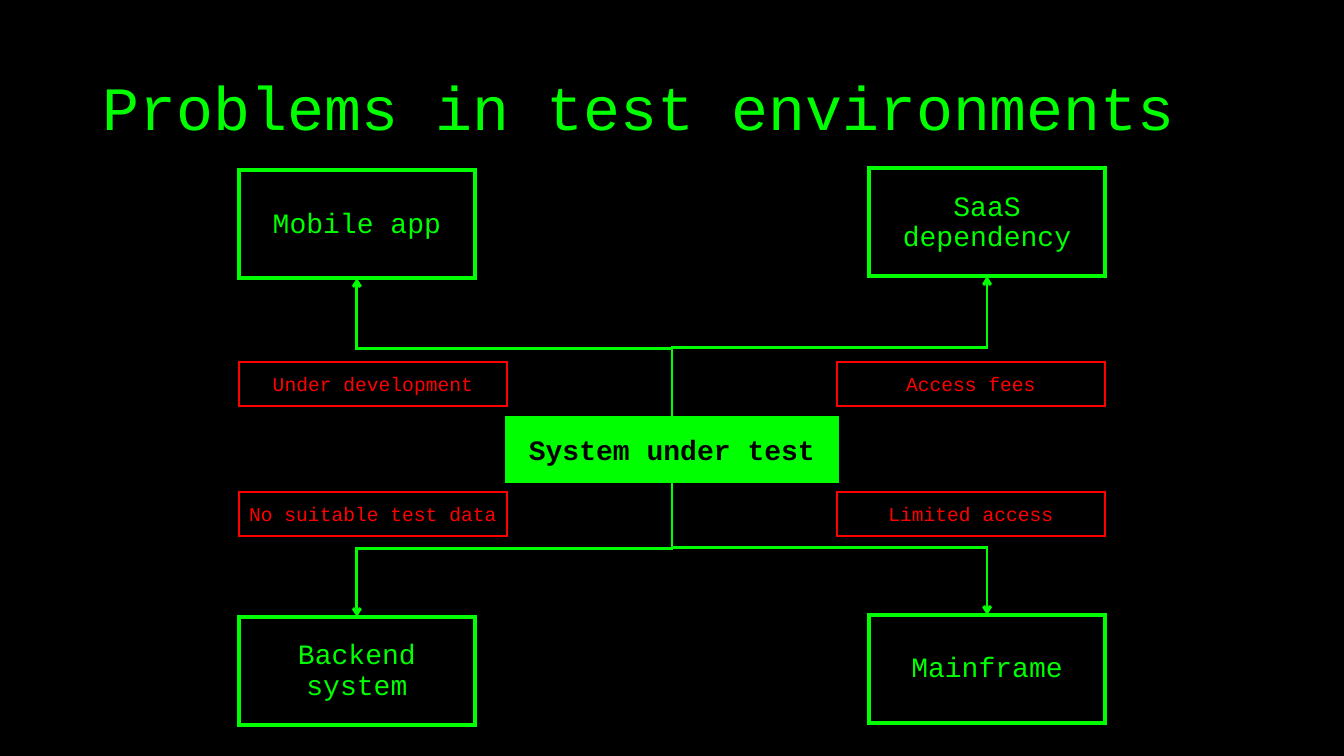
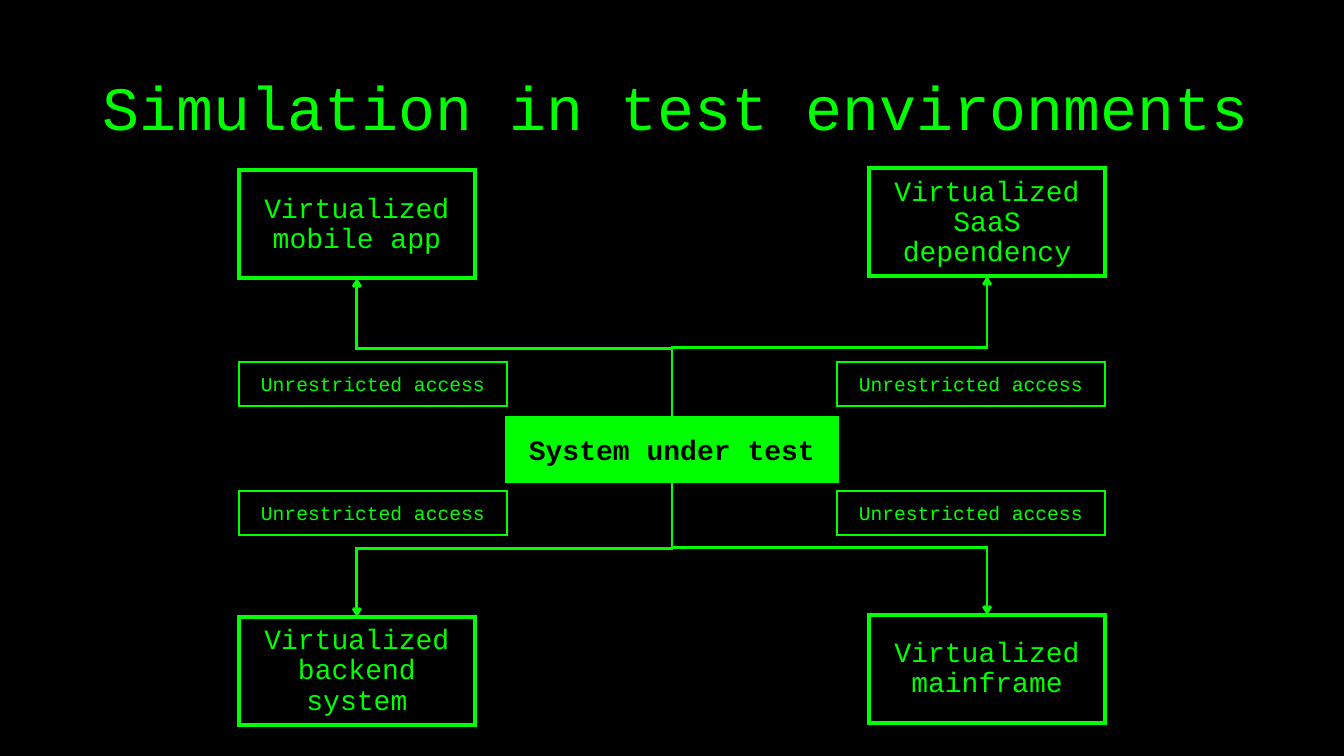
from dataclasses import dataclass

import lxml.etree
import pptx
import pptx.dml.color
import pptx.enum.shapes
import pptx.enum.text
import pptx.oxml.ns
import pptx.util

PX = 9144
FONT = "Courier New"
COLORS = {"background": "000000", "accent": "00FF00", "problem": "FF0000"}
TITLE_ONLY = 5
TOP, BOTTOM = 0, 2


@dataclass(frozen=True)
class Box:
    left: int
    top: int
    width: int
    height: int

    def emu(self) -> tuple[int, int, int, int]:
        return self.left * PX, self.top * PX, self.width * PX, self.height * PX


@dataclass(frozen=True)
class Environment:
    title: str
    title_width: int
    systems: tuple[str, str, str, str]
    conditions: tuple[str, str, str, str]
    condition_color: str
    lower_condition_top: int


HUB = Box(503, 415, 327, 62)
SYSTEM_CORNERS = ((237, 169), (862, 167), (237, 612), (862, 610))
CONDITION_LEFTS = (237, 830)
UPPER_CONDITION_TOP = 359

ENVIRONMENTS = (
    Environment(
        "Problems in test environments",
        1150,
        ("Mobile app", "SaaS dependency", "Backend system", "Mainframe"),
        ("Under development", "Access fees", "No suitable test data", "Limited access"),
        "problem",
        488,
    ),
    Environment(
        "Simulation in test environments",
        1214,
        (
            "Virtualized mobile app",
            "Virtualized SaaS dependency",
            "Virtualized backend system",
            "Virtualized mainframe",
        ),
        ("Unrestricted access",) * 4,
        "accent",
        487,
    ),
)


def rgb(name: str) -> pptx.dml.color.RGBColor:
    return pptx.dml.color.RGBColor.from_string(COLORS[name])


def write_text(
    frame,
    text: str,
    *,
    size: int,
    color: str = "accent",
    bold: bool = False,
    align=pptx.enum.text.PP_ALIGN.CENTER,
    line_spacing: float = 1.0,
) -> None:
    frame.word_wrap = True
    frame.auto_size = pptx.enum.text.MSO_AUTO_SIZE.NONE
    frame.vertical_anchor = pptx.enum.text.MSO_ANCHOR.MIDDLE
    frame.margin_top = frame.margin_bottom = 0
    paragraph = frame.paragraphs[0]
    paragraph.alignment = align
    paragraph.line_spacing = line_spacing
    run = paragraph.add_run()
    run.text = text
    run.font.name = FONT
    run.font.size = pptx.util.Pt(size)
    run.font.bold = bold
    run.font.color.rgb = rgb(color)


def style_line(outlined, color: str, width: int):
    outlined.line.color.rgb = rgb(color)
    outlined.line.width = pptx.util.Pt(width)
    line = outlined._element.spPr.find(pptx.oxml.ns.qn("a:ln"))
    lxml.etree.SubElement(line, pptx.oxml.ns.qn("a:miter"), lim="800000")
    return line


def add_title(slide, text: str, width: int) -> None:
    title = slide.shapes.title
    title.left, title.top, title.width, title.height = Box(92, 37, width, 145).emu()
    write_text(
        title.text_frame,
        text,
        size=44,
        align=pptx.enum.text.PP_ALIGN.LEFT,
        line_spacing=0.9,
    )


def add_box(
    slide,
    box: Box,
    text: str,
    *,
    line_color: str = "accent",
    line_width: int = 3,
    filled: bool = False,
    **text_format,
):
    rectangle = slide.shapes.add_shape(
        pptx.enum.shapes.MSO_SHAPE.RECTANGLE, *box.emu()
    )
    rectangle.shadow.inherit = False
    if filled:
        rectangle.fill.solid()
        rectangle.fill.fore_color.rgb = rgb(line_color)
    else:
        rectangle.fill.background()
    style_line(rectangle, line_color, line_width)
    write_text(rectangle.text_frame, text, **text_format)
    return rectangle


def add_branch(slide, hub, system) -> None:
    upward = system.top < hub.top
    start_x = hub.left + hub.width // 2
    end_x = system.left + system.width // 2
    start_y = hub.top if upward else hub.top + hub.height
    end_y = system.top + system.height if upward else system.top
    rightward = end_x > start_x
    branch = slide.shapes.add_connector(
        pptx.enum.shapes.MSO_CONNECTOR.ELBOW, start_x, start_y, end_x, end_y
    )
    branch.begin_connect(hub, TOP if upward else BOTTOM)
    branch.end_connect(system, BOTTOM if upward else TOP)

    run, rise = abs(end_x - start_x), abs(end_y - start_y)
    branch.left = (start_x + end_x - rise) // 2
    branch.top = (start_y + end_y - run) // 2
    branch.width, branch.height = rise, run
    properties = branch._element.spPr
    transform = properties.find(pptx.oxml.ns.qn("a:xfrm"))
    transform.set("rot", str((90 if upward == rightward else 270) * 60000))
    transform.set("flipH", str(int(rightward)))
    transform.set("flipV", str(int(upward)))

    line = style_line(branch, "accent", 2)
    lxml.etree.SubElement(line, pptx.oxml.ns.qn("a:tailEnd"), type="arrow")
    lxml.etree.SubElement(properties, pptx.oxml.ns.qn("a:effectLst"))


def add_environment(presentation, environment: Environment) -> None:
    slide = presentation.slides.add_slide(presentation.slide_layouts[TITLE_ONLY])
    add_title(slide, environment.title, environment.title_width)
    hub = add_box(
        slide,
        HUB,
        "System under test",
        filled=True,
        size=20,
        color="background",
        bold=True,
    )
    for corner, name in zip(SYSTEM_CORNERS, environment.systems):
        system = add_box(
            slide, Box(*corner, 234, 107), name, size=20, line_spacing=0.9
        )
        add_branch(slide, hub, system)
    condition_corners = [
        (left, top)
        for top in (UPPER_CONDITION_TOP, environment.lower_condition_top)
        for left in CONDITION_LEFTS
    ]
    for corner, condition in zip(condition_corners, environment.conditions):
        add_box(
            slide,
            Box(*corner, 266, 44),
            condition,
            line_color=environment.condition_color,
            line_width=1,
            size=14,
            color=environment.condition_color,
        )


def main() -> None:
    presentation = pptx.Presentation()
    presentation.slide_width = 1333 * PX
    presentation.slide_height = 750 * PX
    background = presentation.slide_master.background.fill
    background.solid()
    background.fore_color.rgb = rgb("background")
    for environment in ENVIRONMENTS:
        add_environment(presentation, environment)
    presentation.save("out.pptx")


if __name__ == "__main__":
    main()
